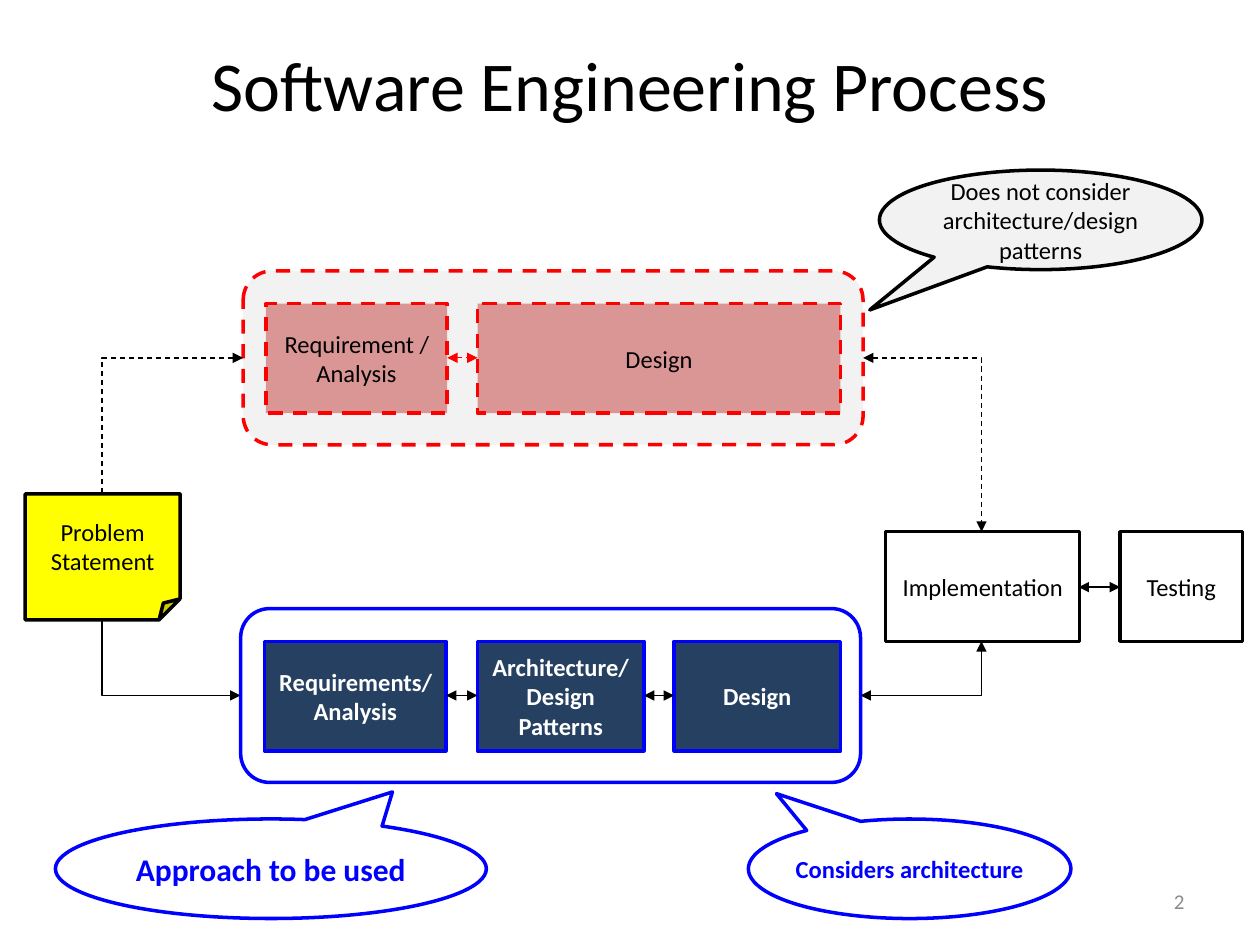
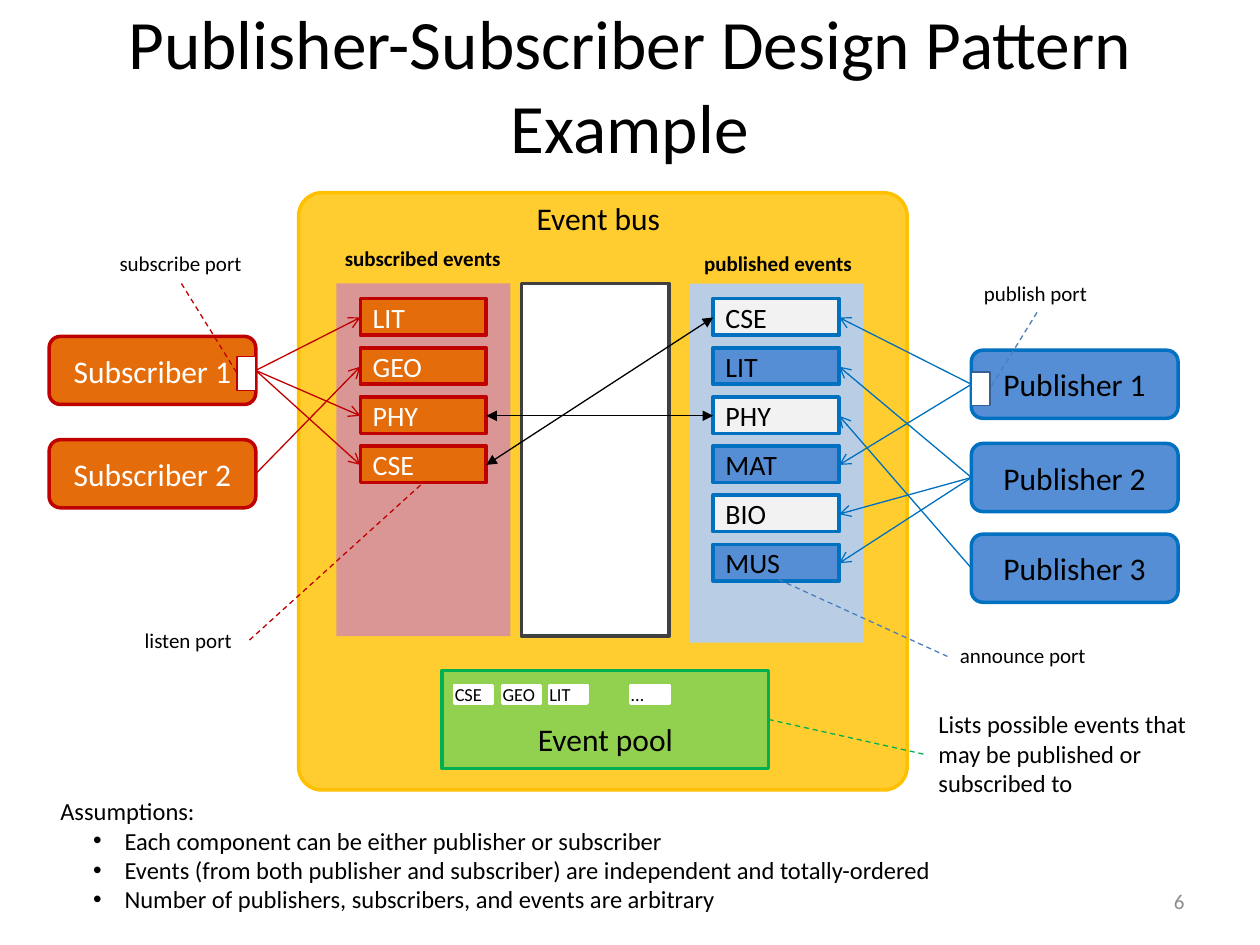
from lxml import etree
from pptx import Presentation
from pptx.dml.color import RGBColor
from pptx.enum.dml import MSO_LINE
from pptx.enum.shapes import MSO_CONNECTOR, MSO_SHAPE
from pptx.enum.text import MSO_ANCHOR, PP_ALIGN
from pptx.oxml.ns import qn
from pptx.util import Inches, Pt

FONT = "Calibri"
BLACK, WHITE, GREY, PALE = "000000", "FFFFFF", "8C8C8C", "F2F2F2"
RED, BLUE, NAVY, PINK = "FF0000", "0000FF", "254061", "D99694"
ORANGE, CRIMSON = "E46C0A", "C00000"
SKY, AZURE, STEEL = "558ED5", "0070C0", "4B7EBC"
LEFT, CENTER, RIGHT = PP_ALIGN.LEFT, PP_ALIGN.CENTER, PP_ALIGN.RIGHT


def rgb(value):
    """Turn a hex string into a colour."""
    return RGBColor.from_string(value)


def write(sp, text, size, color=BLACK, bold=False, align=CENTER):
    """Set the text of a shape and format every run."""
    tf = sp.text_frame
    tf.text = text
    for p in tf.paragraphs:
        p.alignment = align
        for r in p.runs:
            r.font.name, r.font.size, r.font.bold = FONT, Pt(size), bold
            r.font.color.rgb = rgb(color)


def stroke(line, color, width, dash):
    """Style an outline or a connector line."""
    line.color.rgb = rgb(color)
    line.width = Pt(width)
    if dash:
        line.dash_style = MSO_LINE.DASH


def block(s, kind, at, fill=None, line=None, width=2, dash=False, adj=()):
    """Add a preset shape with its fill and outline."""
    sp = s.shapes.add_shape(kind, *map(Inches, at))
    sp.shadow.inherit = False
    for i, value in enumerate(adj):
        sp.adjustments[i] = value
    if fill:
        sp.fill.solid()
        sp.fill.fore_color.rgb = rgb(fill)
    else:
        sp.fill.background()
    if line:
        stroke(sp.line, line, width, dash)
    else:
        sp.line.fill.background()
    return sp


def label(s, at, text, size, color=BLACK, bold=False, align=LEFT, wrap=False,
          anchor=MSO_ANCHOR.TOP):
    """Add a text box."""
    sp = s.shapes.add_textbox(*map(Inches, at))
    sp.text_frame.word_wrap = wrap
    sp.text_frame.vertical_anchor = anchor
    write(sp, text, size, color, bold, align)
    return sp


def link(s, start, end, color=BLACK, dash=False, head=None, tail=None, bent=False):
    """Connect two points; a bent link runs horizontally, then vertically."""
    kind = MSO_CONNECTOR.ELBOW if bent else MSO_CONNECTOR.STRAIGHT
    cx = s.shapes.add_connector(kind, *map(Inches, (*start, *end)))
    stroke(cx.line, color, 0.75, dash)
    props = cx._element.spPr
    if bent:
        props.find(qn("a:prstGeom")).set("prst", "bentConnector2")
    for tag, arrow in (("a:headEnd", head), ("a:tailEnd", tail)):
        if arrow:
            etree.SubElement(props.find(qn("a:ln")), qn(tag)).set("type", arrow)
    etree.SubElement(props, qn("a:effectLst"))


def two_way(s, start, end, **style):
    """Connect two points with a triangle at each end."""
    link(s, start, end, head="triangle", tail="triangle", **style)


def new_slide(prs, title, number, size=40):
    """Add a blank slide with the shared title and page number."""
    s = prs.slides.add_slide(prs.slide_layouts[6])
    label(s, (0.5, 0.04, 9, 1.25), title, size, align=CENTER, wrap=True,
          anchor=MSO_ANCHOR.MIDDLE)
    label(s, (7.17, 6.95, 2.33, 0.4), str(number), 12, GREY, align=RIGHT,
          wrap=True, anchor=MSO_ANCHOR.MIDDLE)
    return s


def phase_panel(s, x, y, steps, panel_fill, step_fill, line, ink, arrow, dash):
    """Draw a rounded panel whose steps are chained by two-way arrows."""
    block(s, MSO_SHAPE.ROUNDED_RECTANGLE, (x, y, 4.92, 1.38), panel_fill, line, dash=dash)
    mid, previous = y + 0.69, None
    for text, left, width in steps:
        sp = block(s, MSO_SHAPE.RECTANGLE, (left, y + 0.26, width, 0.87),
                   step_fill, line, dash=dash)
        write(sp, text, 14, ink, bold=not dash)
        if previous:
            two_way(s, (previous, mid), (left, mid), color=arrow, dash=dash)
        previous = left + width


def callout(s, at, tip, text, fill=WHITE, color=BLUE, size=14, bold=True):
    """Draw an elliptical speech bubble."""
    sp = block(s, MSO_SHAPE.OVAL_CALLOUT, at, fill, color, adj=tip)
    sp.text_frame.margin_left = sp.text_frame.margin_right = 0
    write(sp, text, size, color, bold)


def process_slide(prs):
    """Compare the process with and without design patterns."""
    s = new_slide(prs, "Software Engineering Process", 2)
    phase_panel(s, 1.93, 2.15, [("Requirement /Analysis", 2.11, 1.44), ("Design", 3.79, 2.88)],
                PALE, PINK, RED, BLACK, RED, True)
    phase_panel(s, 1.91, 4.83, [("Requirements/Analysis", 2.1, 1.44),
                                ("Architecture/Design Patterns", 3.79, 1.32),
                                ("Design", 5.35, 1.32)],
                WHITE, NAVY, BLUE, WHITE, BLACK, False)

    for kind, at, fill, text in (
            (MSO_SHAPE.FOLDED_CORNER, (0.2, 3.92, 1.23, 1), "FFFF00", "Problem Statement"),
            (MSO_SHAPE.RECTANGLE, (7.03, 4.22, 1.54, 0.87), None, "Implementation"),
            (MSO_SHAPE.RECTANGLE, (8.89, 4.22, 0.97, 0.87), None, "Testing")):
        write(block(s, kind, at, fill, BLACK), text, 14)

    two_way(s, (8.56, 4.66), (8.89, 4.66))
    for left, mid, note_edge, box_edge, dash in ((1.93, 2.84, 3.92, 4.22, True),
                                                 (1.91, 5.52, 4.92, 5.09, False)):
        link(s, (left, mid), (0.81, note_edge), dash=dash, head="triangle", bent=True)
        two_way(s, (left + 4.92, mid), (7.79, box_edge), dash=dash, bent=True)

    callout(s, (6.98, 1.35, 2.56, 0.79), (-0.53, 0.905),
            "Does not consider architecture/design patterns", PALE, BLACK, bold=False)
    callout(s, (5.94, 6.5, 2.56, 0.79), (-0.413, -0.755), "Considers architecture")
    callout(s, (0.44, 6.5, 3.42, 0.79), (0.282, -0.772), "Approach to be used", size=18)


def event_column(s, at, fill, events, line, ink):
    """Draw a column of events and return the side points of each one."""
    x, y = at[:2]
    block(s, MSO_SHAPE.RECTANGLE, at, fill)
    sides = {}
    for i, (name, event_fill) in enumerate(events):
        left, top = x + 0.19, y + 0.12 + 0.39 * i
        sp = block(s, MSO_SHAPE.RECTANGLE, (left, top, 1, 0.29), event_fill, line)
        write(sp, name, 16, ink, align=LEFT)
        sides[name] = (left, top + 0.15), (left + 1, top + 0.15)
    return sides


def event_pool(s, x, y):
    """Draw the pool with its small event tags."""
    sp = block(s, MSO_SHAPE.RECTANGLE, (x, y, 2.59, 0.78), "92D050", "00B050")
    sp.text_frame.margin_top = Inches(0.35)
    write(sp, "Event pool", 18)
    for name, dx in (("CSE", 0.1), ("GEO", 0.48), ("LIT", 0.85), ("…", 1.5)):
        tag = block(s, MSO_SHAPE.RECTANGLE, (x + dx, y + 0.12, 0.3, 0.14), WHITE, WHITE)
        tag.text_frame.margin_left = tag.text_frame.margin_right = 0
        write(tag, name, 10.5, align=LEFT)


def components(s, x, role, tops, fill, line, ink, edge, targets, side):
    """Draw the components of one role and link them to their events."""
    for number, (top, names) in enumerate(zip(tops, targets), 1):
        sp = block(s, MSO_SHAPE.ROUNDED_RECTANGLE, (x, top, 1.64, 0.54), fill, line)
        write(sp, f"{role} {number}", 18, ink)
        for name in names:
            link(s, (edge, top + 0.27), side[name], line, tail="arrow")


def assumptions(s, at):
    """List the assumptions as bullets below a lead line."""
    lines = ["Assumptions:",
             "Each component can be either publisher or subscriber",
             "Events (from both publisher and subscriber) are independent and totally-ordered",
             "Number of publishers, subscribers, and events are arbitrary"]
    sp = label(s, at, "\n".join(lines), 14)
    for p in sp.text_frame.paragraphs[1:]:
        props = p._p.get_or_add_pPr()
        props.set("marL", str(Inches(0.51)))
        props.set("indent", str(Inches(-0.25)))
        etree.SubElement(props, qn("a:buFont")).set("typeface", "Arial")
        etree.SubElement(props, qn("a:buChar")).set("char", "•")


def pattern_slide(prs):
    """Show publishers and subscribers around an event bus."""
    s = new_slide(prs, "Publisher-Subscriber Design Pattern Example", 6, 39.6)
    block(s, MSO_SHAPE.ROUNDED_RECTANGLE, (2.37, 1.53, 4.83, 4.74), "FFCD2F", "FFC000",
          adj=(0.039,))
    block(s, MSO_SHAPE.RECTANGLE, (4.14, 2.25, 1.17, 2.8), WHITE, "404040")
    label(s, (4.16, 1.53, 1.19, 0.4), "Event bus", 18)
    label(s, (2.63, 1.9, 1.45, 0.3), "subscribed events", 12, bold=True, align=CENTER)
    label(s, (5.48, 1.94, 1.39, 0.3), "published events", 12, bold=True, align=CENTER)

    subscribed = event_column(s, (2.67, 2.25, 1.38, 2.8), PINK,
                              [(name, ORANGE) for name in ("LIT", "GEO", "PHY", "CSE")],
                              CRIMSON, WHITE)
    published = event_column(s, (5.47, 2.25, 1.38, 2.85), "B9CDE5",
                             [("CSE", PALE), ("LIT", SKY), ("PHY", PALE),
                              ("MAT", SKY), ("BIO", PALE), ("MUS", SKY)], AZURE, BLACK)
    for name in ("CSE", "PHY"):
        two_way(s, published[name][0], subscribed[name][1])
    event_pool(s, 3.51, 5.32)

    components(s, 0.39, "Subscriber", (2.67, 3.49), ORANGE, CRIMSON, WHITE, 2.03,
               [("LIT", "PHY", "CSE"), ("GEO",)],
               {name: points[0] for name, points in subscribed.items()})
    components(s, 7.71, "Publisher", (2.78, 3.52, 4.24), SKY, AZURE, BLACK, 7.71,
               [("CSE", "MAT"), ("LIT", "BIO", "MUS"), ("PHY",)],
               {name: points[1] for name, points in published.items()})
    for x, y, line in ((1.88, 2.83, CRIMSON), (7.71, 2.95, "376092")):
        block(s, MSO_SHAPE.RECTANGLE, (x, y, 0.15, 0.27), WHITE, line, width=1)

    for text, at, start, end, color in (
            ("subscribe port", (0.85, 1.94, 1.18, 0.3), (1.44, 2.25), (1.88, 2.96), CRIMSON),
            ("listen port", (1.05, 4.93, 0.93, 0.3), (1.98, 5.08), (3.36, 3.83), CRIMSON),
            ("publish port", (7.71, 2.18, 1.03, 0.3), (8.23, 2.48), (7.86, 3.08), STEEL),
            ("announce port", (7.52, 5.05, 1.21, 0.3), (7.52, 5.21), (6.18, 4.6), STEEL)):
        label(s, at, text, 12)
        link(s, start, end, color, dash=True)
    label(s, (7.35, 5.58, 2.4, 0.81),
          "Lists possible events that may be published or subscribed to", 14, wrap=True)
    link(s, (6.1, 5.71), (7.35, 5.99), "00B050", dash=True)
    assumptions(s, (0.38, 6.27, 7.18, 1.04))


def main():
    """Build the deck."""
    prs = Presentation()
    prs.slide_width, prs.slide_height = Inches(10), Inches(7.5)
    process_slide(prs)
    pattern_slide(prs)
    prs.save("out.pptx")


if __name__ == "__main__":
    main()
